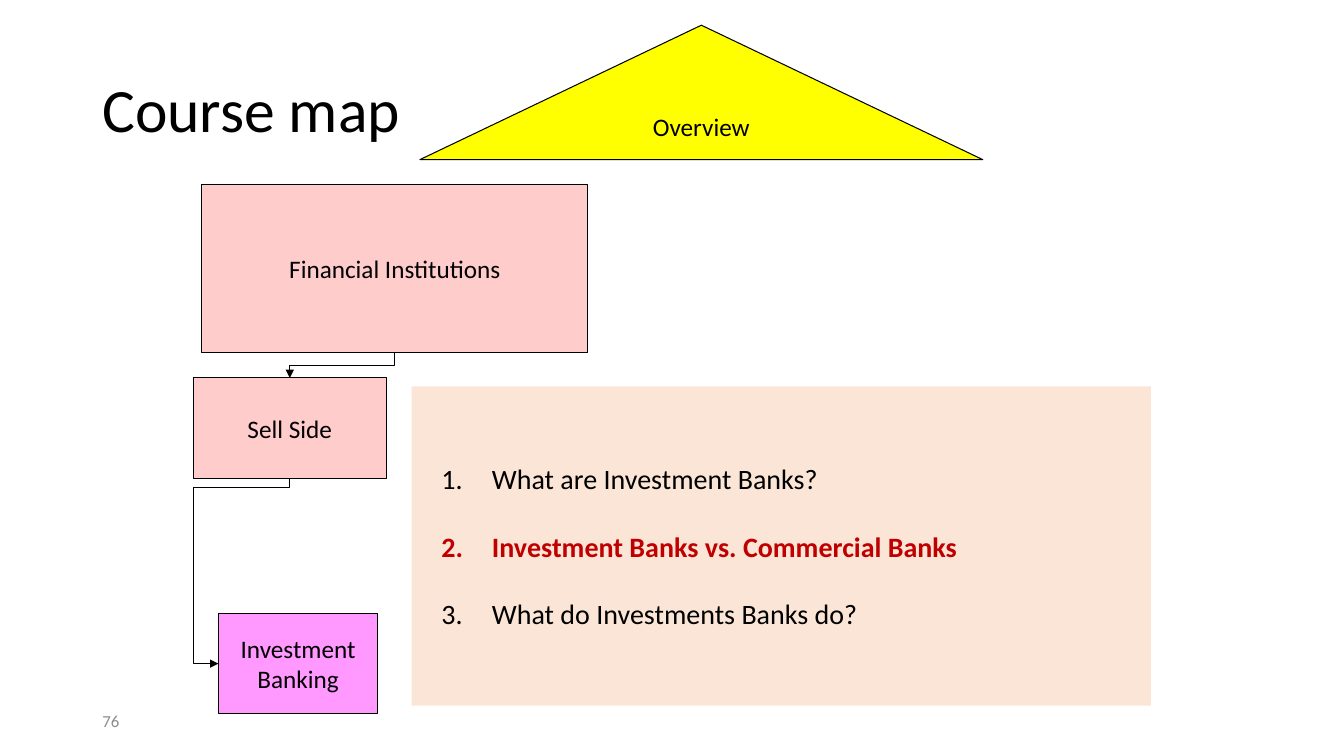
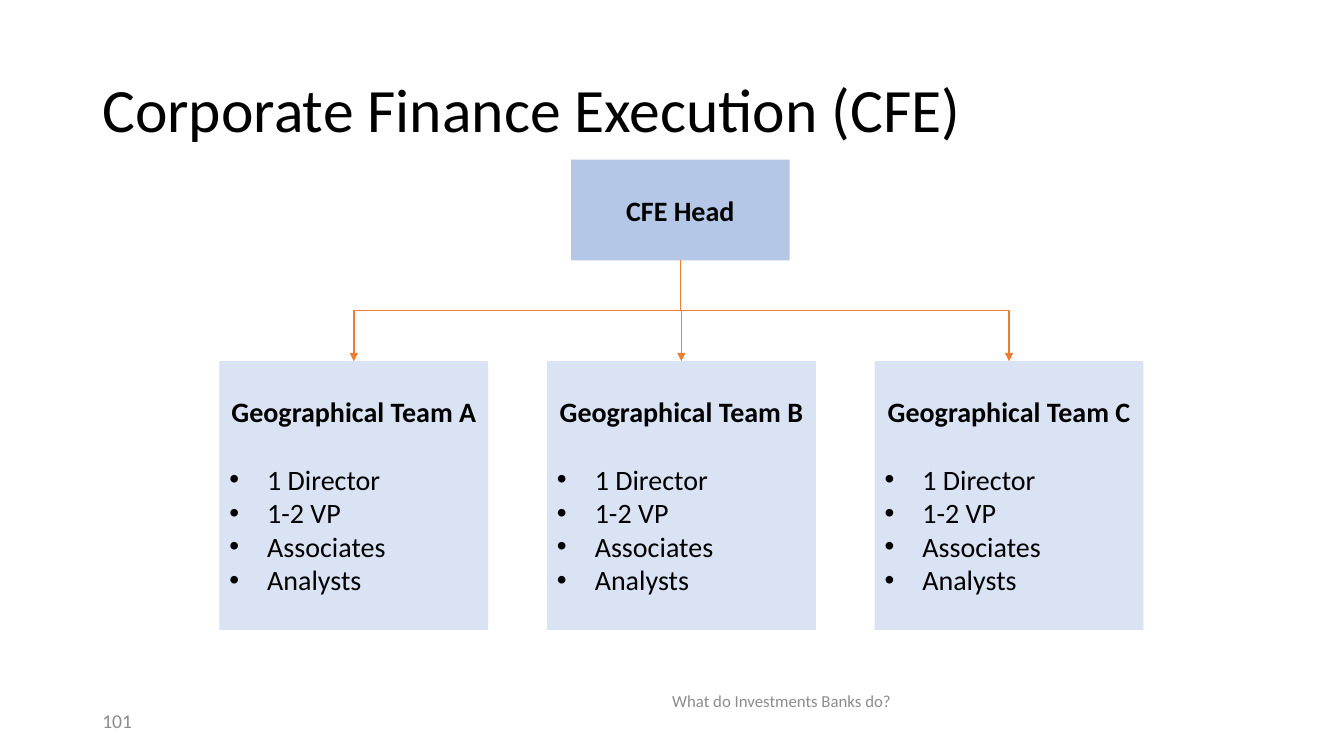
import pptx
import pptx.dml.color
import pptx.enum.shapes
import pptx.enum.text
import pptx.oxml
import pptx.oxml.ns
import pptx.util

PX = 9525
FONT = "Calibri"
COLORS = {
    "text": "000000",
    "muted": "8C8C8C",
    "accent": "C00000",
    "rose": "FFCCCC",
    "yellow": "FFFF00",
    "magenta": "FF99FF",
    "peach": "FBE5D6",
    "blue": "B4C7E7",
    "pale_blue": "DAE3F3",
    "orange": "ED7D31",
}
BULLETS = {
    "dot": ('<a:buFont {} typeface="Arial"/>', '<a:buChar {} char="•"/>'),
    "number": ('<a:buFont {} typeface="+mj-lt"/>', '<a:buAutoNum {} type="arabicPeriod"/>'),
}
SHAPES = pptx.enum.shapes.MSO_SHAPE
ALIGN = pptx.enum.text.PP_ALIGN


def px(*lengths):
    return [pptx.util.Emu(round(length * PX)) for length in lengths]


def rgb(name):
    return pptx.dml.color.RGBColor.from_string(COLORS[name])


def xml(template):
    return pptx.oxml.parse_xml(template.format(pptx.oxml.ns.nsdecls("a")))


def add_text(shape, text, size=18, color="text", bold=False, align=ALIGN.LEFT,
             bullet=None, left=0, hanging=0, line_spacing=None, before=None):
    frame = shape.text_frame
    paragraph = frame.paragraphs[0] if not frame.text else frame.add_paragraph()
    if bullet:
        properties = paragraph._p.get_or_add_pPr()
        properties.set("marL", str(left * PX))
        properties.set("indent", str(-hanging * PX))
        for template in BULLETS[bullet]:
            properties.append(xml(template))
    paragraph.alignment = align
    if line_spacing:
        paragraph.line_spacing = line_spacing
    if before:
        paragraph.space_before = pptx.util.Pt(before)
    run = paragraph.add_run()
    run.text = text
    run.font.name = FONT
    run.font.size = pptx.util.Pt(size)
    run.font.bold = bold
    run.font.color.rgb = rgb(color)


def add_label(slide, box, text, **style):
    shape = slide.shapes.add_textbox(*px(*box))
    shape.text_frame.word_wrap = True
    shape.text_frame.vertical_anchor = pptx.enum.text.MSO_ANCHOR.MIDDLE
    add_text(shape, text, **style)


def add_box(slide, box, fill, kind=SHAPES.RECTANGLE, outlined=False, wrap=True):
    shape = slide.shapes.add_shape(kind, *px(*box))
    shape.shadow.inherit = False
    shape.fill.solid()
    shape.fill.fore_color.rgb = rgb(fill)
    if outlined:
        shape.line.color.rgb = rgb("text")
        shape.line.width = pptx.util.Pt(0.75)
    else:
        shape.line.fill.background()
    shape.text_frame.word_wrap = wrap
    shape.text_frame.vertical_anchor = pptx.enum.text.MSO_ANCHOR.MIDDLE
    return shape


def add_map_box(slide, box, text, fill, kind=SHAPES.RECTANGLE, wrap=False):
    shape = add_box(slide, box, fill, kind, outlined=True, wrap=wrap)
    add_text(shape, text, align=ALIGN.CENTER)
    return shape


def join_down(slide, upper, lower, color="text", width=0.75, side=0, detour=None):
    start_x, start_y = upper.left + upper.width // 2, upper.top + upper.height
    if side == 0:
        end_x, end_y = lower.left + lower.width // 2, lower.top
    else:
        end_x, end_y = lower.left, lower.top + lower.height // 2
    connector = slide.shapes.add_connector(
        pptx.enum.shapes.MSO_CONNECTOR.ELBOW, start_x, start_y, end_x, end_y)
    connector.begin_connect(upper, 2)
    connector.end_connect(lower, side)
    run, drop = abs(end_x - start_x), end_y - start_y
    connector.left = (start_x + end_x - drop) // 2
    connector.top = (start_y + end_y - run) // 2
    connector.width, connector.height = drop, run

    properties = connector._element.spPr
    frame = properties.find(pptx.oxml.ns.qn("a:xfrm"))
    rightward = end_x > start_x
    frame.flipH, frame.flipV = rightward, False
    frame.set("rot", "16200000" if rightward else "5400000")
    if detour:
        turn_drop, turn_x = px(*detour)
        geometry = properties.find(pptx.oxml.ns.qn("a:prstGeom"))
        geometry.set("prst", "bentConnector4")
        values = geometry.find(pptx.oxml.ns.qn("a:avLst"))
        ratios = (turn_drop / drop, (start_x - turn_x) / run)
        for index, ratio in enumerate(ratios, 1):
            values.append(xml(f'<a:gd {{}} name="adj{index}" fmla="val {round(ratio * 100000)}"/>'))

    connector.line.color.rgb = rgb(color)
    connector.line.width = pptx.util.Pt(width)
    line = connector.line._get_or_add_ln()
    line.append(xml('<a:tailEnd {} type="triangle"/>'))
    properties.append(xml("<a:effectLst {}/>"))


def add_slide(presentation, title, number, number_size):
    slide = presentation.slides.add_slide(presentation.slide_layouts[6])
    add_label(slide, (88, 38, 1104, 139), title, size=44, line_spacing=0.9)
    add_label(slide, (88, 667, 288, 38), number, size=number_size, color="muted")
    return slide


def add_questions(slide, box, questions, current):
    panel = add_box(slide, box, "peach")
    for index, question in enumerate(questions):
        active = index == current
        add_text(panel, question, size=20, bold=active,
                 color="accent" if active else "text", bullet="number",
                 left=67, hanging=48, line_spacing=2 if index else None)


def add_course_map(slide, left, top):
    add_map_box(slide, (left + 216, top, 536, 128), "Overview", "yellow",
                kind=SHAPES.FLOWCHART_EXTRACT)
    institutions = add_map_box(slide, (left + 8, top + 152, 368, 160),
                               "Financial Institutions", "rose")
    sell_side = add_map_box(slide, (left, top + 336, 184, 96), "Sell Side", "rose")
    banking = add_map_box(slide, (left + 24, top + 560, 152, 96),
                          "Investment Banking", "magenta", wrap=True)
    join_down(slide, institutions, sell_side)
    join_down(slide, sell_side, banking, side=1, detour=(8, left))


def add_team(slide, box, name, members):
    team = add_box(slide, box, "pale_blue")
    add_text(team, name, size=20, bold=True, align=ALIGN.CENTER)
    for index, member in enumerate(members):
        add_text(team, member, size=20, bullet="dot", left=36, hanging=36,
                 before=None if index else 24)
    return team


def add_team_chart(slide, left, top):
    head = add_box(slide, (left + 335, top, 208, 96), "blue", wrap=False)
    add_text(head, "CFE Head", size=20, bold=True, align=ALIGN.CENTER)
    members = ["1 Director", "1-2 VP", "Associates", "Analysts"]
    for index, letter in enumerate("ABC"):
        team = add_team(slide, (left + index * 312, top + 192, 256, 256),
                        f"Geographical Team {letter}", members)
        join_down(slide, head, team, color="orange", width=1)


def main():
    presentation = pptx.Presentation()
    presentation.slide_width, presentation.slide_height = px(1280, 720)

    course = add_slide(presentation, "Course map", "76", 12)
    add_course_map(course, 184, 24)
    add_questions(course, (392, 368, 704, 304), [
        "What are Investment Banks?",
        "Investment Banks vs. Commercial Banks",
        "What do Investments Banks do?",
    ], current=1)

    execution = add_slide(presentation, "Corporate Finance Execution (CFE)", "101", 14)
    add_team_chart(execution, 209, 152)
    add_label(execution, (369, 645, 751, 45), "What do Investments Banks do?",
              size=12, color="muted", align=ALIGN.CENTER)

    presentation.save("out.pptx")


if __name__ == "__main__":
    main()
